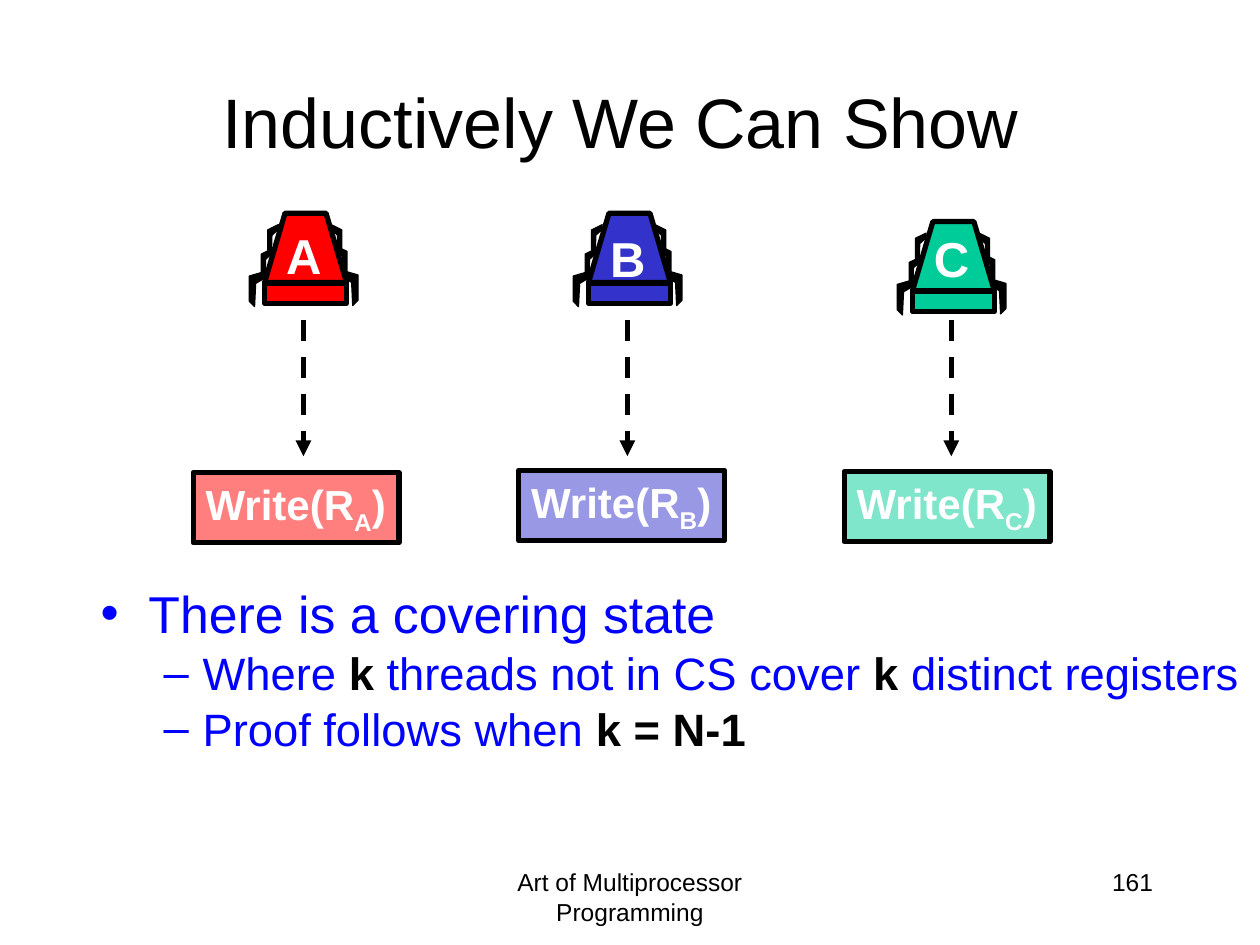
from lxml.etree import SubElement
from pptx import Presentation
from pptx.dml.color import RGBColor
from pptx.enum.dml import MSO_LINE
from pptx.enum.shapes import MSO_CONNECTOR as Connector, MSO_SHAPE as Preset
from pptx.enum.text import MSO_ANCHOR as Anchor, PP_ALIGN as Align
from pptx.oxml.ns import qn
from pptx.util import Inches, Pt

COLORS = {"black": "000000", "white": "FFFFFF", "text": "0000FF",
          "A": "FF0000", "B": "3333CC", "C": "00CC99"}
FONT = "Arial"

# The slide is a grid of 120 columns by 90 rows, so one cell is 1/12 inch.
PITCH = 30.85
BOX_PITCH = 31
# Each thread: name, row of the car, row of its letter, row of the write box.
THREADS = [("A", 20.3, 20.9, 45), ("B", 20.3, 21.2, 44.8), ("C", 21.1, 21.2, 44.9)]

LARGE_LEG = [(0, 0), (1.7, 0.5), (1.7, 2.9), (1.2, 3.4), (1.1, 1.2), (0.1, 0.6)]
SMALL_LEG = [(0, 0), (1, 0.5), (1, 2.4), (0.65, 2.65), (0.6, 1), (0.05, 0.5)]
# Each leg: outline, column and row of its hip on the car, side (1 is right).
REAR_LEGS = [(LARGE_LEG, 7.2, 5.4, 1), (SMALL_LEG, 6.85, 3.15, 1),
             (LARGE_LEG, 0.25, 5.5, -1), (SMALL_LEG, 0.7, 3.4, -1)]
FRONT_LEGS = [(SMALL_LEG, 6.35, 1.1, 1), (SMALL_LEG, 1.3, 1.1, -1)]
CAR_BODY = [(0, 6.6), (1.95, 0), (5.85, 0), (7.8, 6.6)]


def cells(count):
    return Inches(count / 12)


def area(*counts):
    return [cells(count) for count in counts]


def rgb(name):
    return RGBColor.from_string(COLORS[name])


def style_font(font, size, color, bold=False):
    font.name = FONT
    font.size = Pt(size)
    font.bold = bold
    font.color.rgb = rgb(color)


def style_shape(shape, color, line_width):
    shape.shadow.inherit = False
    shape.fill.solid()
    shape.fill.fore_color.rgb = rgb(color)
    shape.line.color.rgb = rgb("black")
    shape.line.width = Pt(line_width)


def add_text(shapes, place, text, size, color="black", align=Align.LEFT,
             anchor=Anchor.TOP, bold=False, wrap=True):
    box = shapes.add_textbox(*area(*place))
    frame = box.text_frame
    frame.word_wrap = wrap
    frame.vertical_anchor = anchor
    frame.text = text
    para = frame.paragraphs[0]
    para.alignment = align
    style_font(para.runs[0].font, size, color, bold)


def add_outline(shapes, points, left, top, color, line_width, side=1):
    """Draw a closed outline; side -1 mirrors it."""
    corners = [(cells(left + side * x), cells(top + y)) for x, y in points]
    builder = shapes.build_freeform(*corners[0])
    builder.add_line_segments(corners[1:], close=True)
    style_shape(builder.convert_to_shape(), color, line_width)


def add_legs(shapes, legs, left, top):
    for outline, column, row, side in legs:
        add_outline(shapes, outline, left + column, top + row, "black", 0.75, side)


def add_car(slide, name, left, top, letter_top):
    shapes = slide.shapes.add_group_shape().shapes
    add_legs(shapes, REAR_LEGS, left, top)
    add_outline(shapes, CAR_BODY, left, top, name, 3)
    bumper = shapes.add_shape(Preset.RECTANGLE, *area(left, top + 6.7, 7.8, 1.9))
    style_shape(bumper, name, 3)
    add_legs(shapes, FRONT_LEGS, left, top)
    add_text(shapes, (left + 0.85, letter_top, 5.75, 6.8), name, 28, "white",
             Align.CENTER, bold=True, wrap=False)


def add_write_box(slide, name, left, top):
    box = slide.shapes.add_shape(Preset.RECTANGLE, *area(left, top, 19.6, 6.7))
    style_shape(box, name, 3)
    fill_color = box.fill._xPr.find(qn("a:solidFill"))[0]
    SubElement(fill_color, qn("a:alpha"), val="50000")
    frame = box.text_frame
    frame.word_wrap = False
    frame.vertical_anchor = Anchor.TOP
    para = frame.paragraphs[0]
    para.alignment = Align.LEFT
    for text in ("Write(R", name, ")"):
        span = para.add_run()
        span.text = text
        style_font(span.font, 24, "white", bold=True)
    para.runs[1].font._element.set("baseline", "-25000")


def add_arrow(slide, column, top, bottom):
    ends = area(column, top, column, bottom)
    arrow = slide.shapes.add_connector(Connector.STRAIGHT, *ends)
    arrow.line.color.rgb = rgb("black")
    arrow.line.width = Pt(3)
    arrow.line.dash_style = MSO_LINE.DASH
    SubElement(arrow.line._get_or_add_ln(), qn("a:tailEnd"), type="triangle")
    SubElement(arrow._element.spPr, qn("a:effectLst"))


def set_bullet(para, char, margin, hanging):
    properties = para._p.get_or_add_pPr()
    properties.set("marL", str(Inches(margin)))
    properties.set("indent", str(-Inches(hanging)))
    bullet_color = SubElement(properties, qn("a:buClr"))
    SubElement(bullet_color, qn("a:srgbClr"), val=COLORS["text"])
    SubElement(properties, qn("a:buFont"), typeface=FONT)
    SubElement(properties, qn("a:buChar"), char=char)


def add_bullets(slide, place, items):
    """Items are (level, spans); every second span is a bold black term."""
    frame = slide.shapes.add_textbox(*area(*place)).text_frame
    frame.word_wrap = True
    levels = [("•", 0.38, 0.38, 29.6), ("–", 0.81, 0.31, 25.9)]
    for index, (level, spans) in enumerate(items):
        para = frame.add_paragraph() if index else frame.paragraphs[0]
        char, margin, hanging, size = levels[level]
        para.level = level
        set_bullet(para, char, margin, hanging)
        para.line_spacing = 0.8
        if index:
            para.space_before = Pt(7)
        for position, text in enumerate(spans):
            span = para.add_run()
            span.text = text
            is_term = position % 2 == 1
            style_font(span.font, size, "black" if is_term else "text", is_term)


def main():
    deck = Presentation()
    deck.slide_width, deck.slide_height = area(120, 90)
    slide = deck.slides.add_slide(deck.slide_layouts[6])

    add_text(slide.shapes, (9, 4, 102, 15), "Inductively We Can Show ", 40,
             align=Align.CENTER, anchor=Anchor.MIDDLE)
    for index, (name, car_top, letter_top, box_top) in enumerate(THREADS):
        offset = index * PITCH
        add_car(slide, name, 25.2 + offset, car_top, letter_top)
        add_arrow(slide, 28.9 + offset, 30.5, 43.45)
        add_write_box(slide, name, 18.4 + index * BOX_PITCH, box_top)
    add_bullets(slide, (8.4, 56, 111.6, 20.4), [
        (0, ["There is a covering state"]),
        (1, ["Where ", "k", " threads not in CS cover ", "k", " distinct registers"]),
        (1, ["Proof follows when ", "k = N-1"]),
    ])
    add_text(slide.shapes, (41, 82, 38, 6), "Art of Multiprocessor Programming", 14,
             align=Align.CENTER)
    add_text(slide.shapes, (86, 82, 25, 6), "161", 14, align=Align.RIGHT)
    deck.save("out.pptx")


if __name__ == "__main__":
    main()
